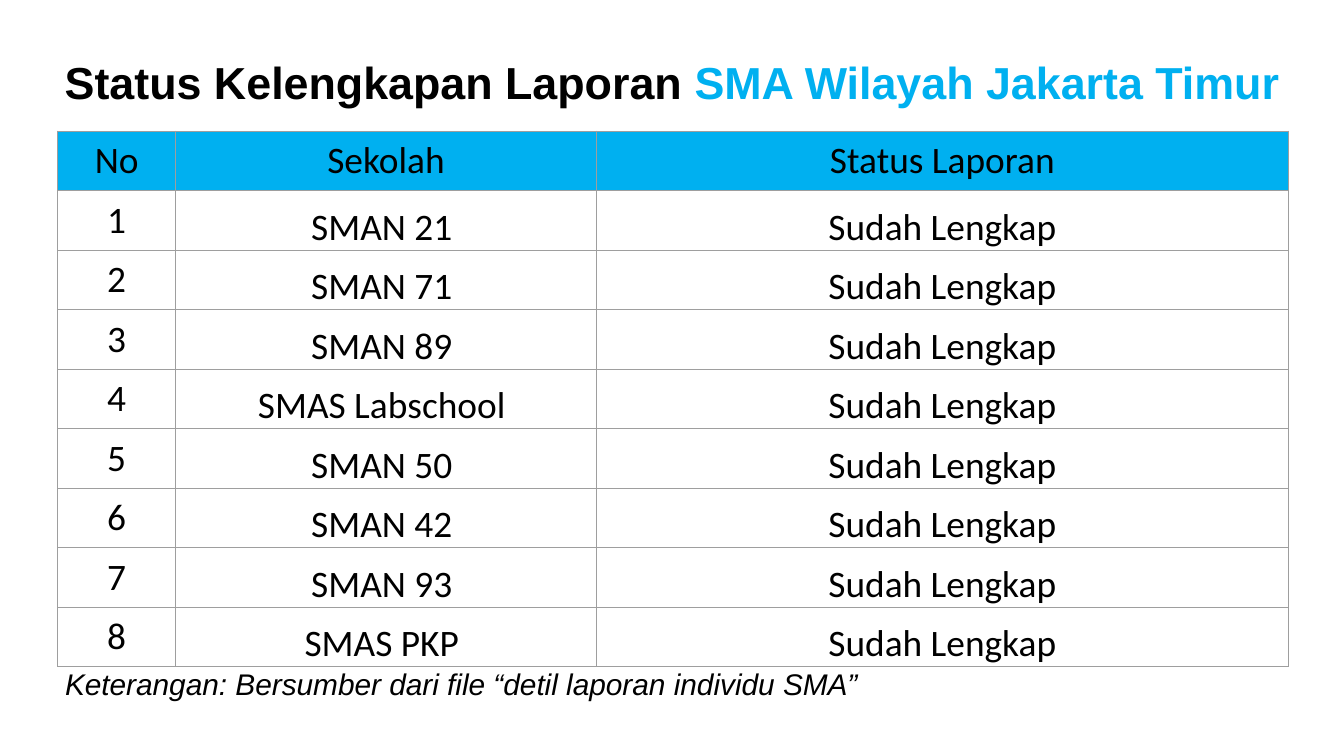
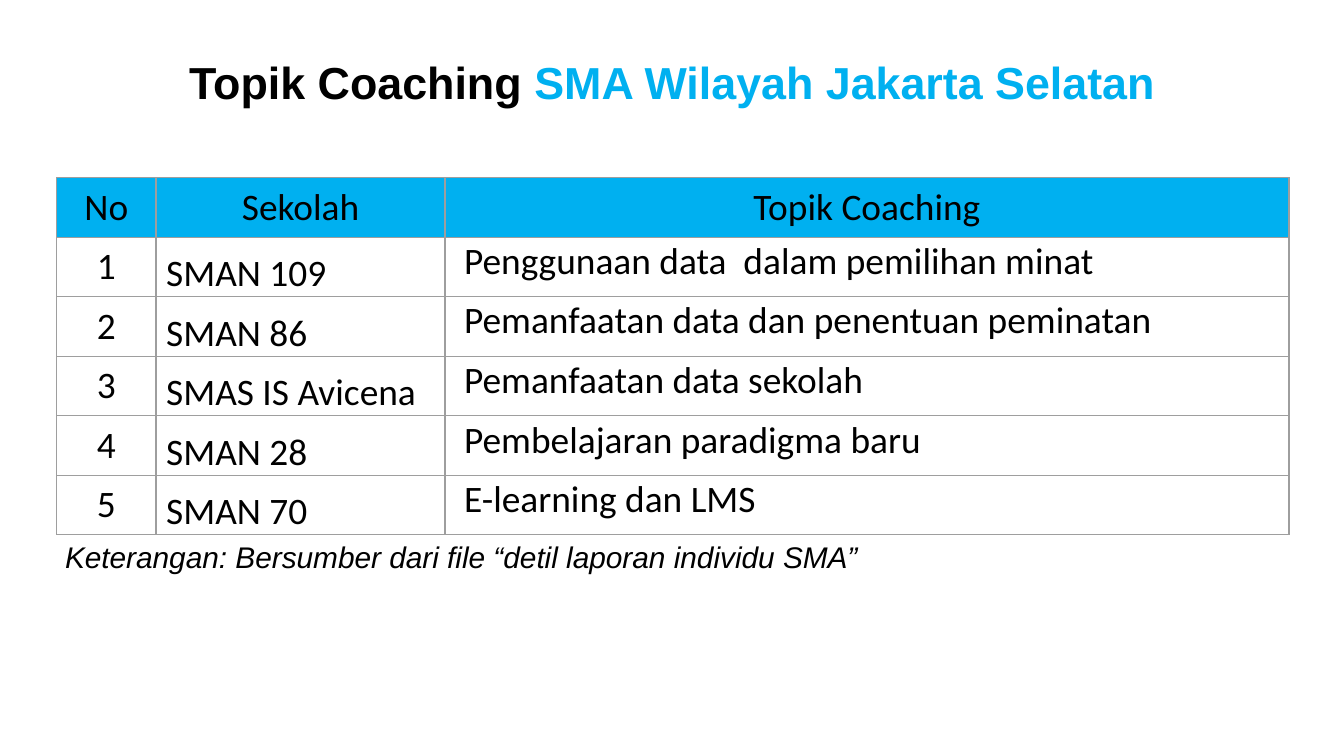
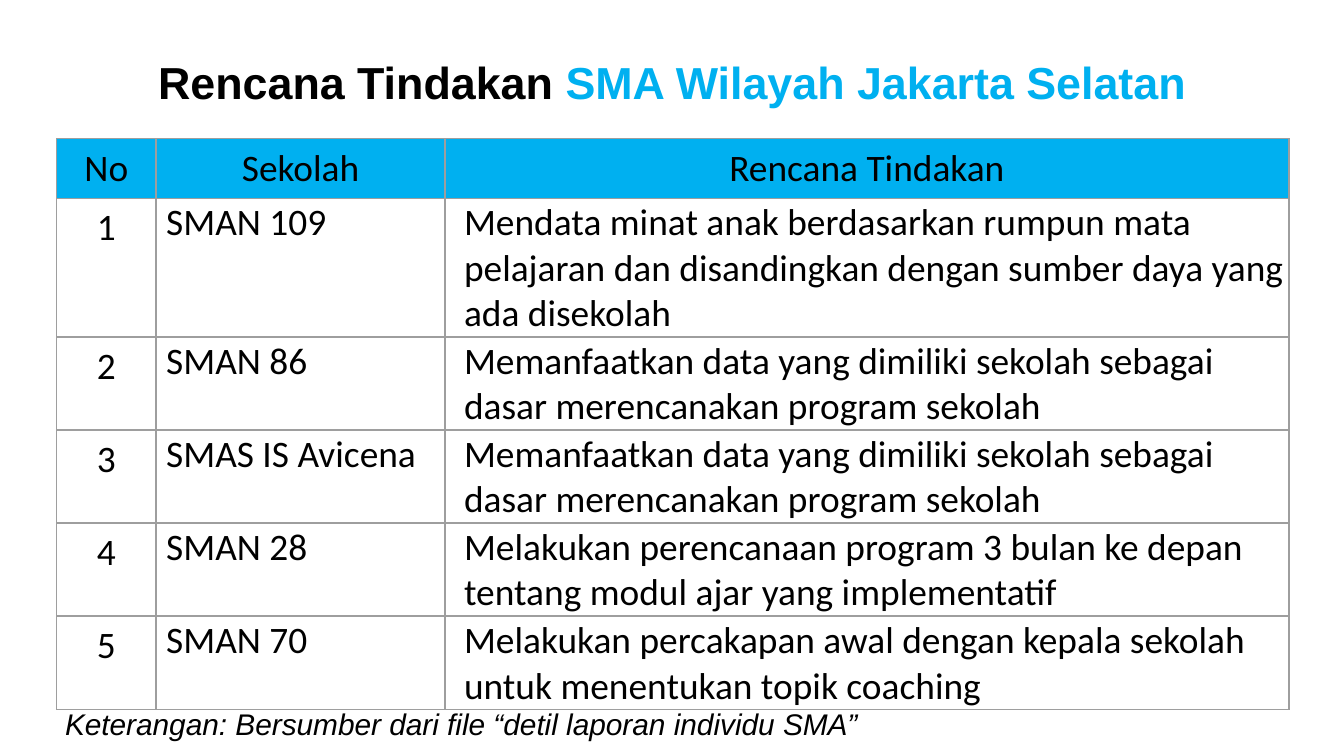
import dataclasses

import pptx
import pptx.dml.color
import pptx.enum.text
import pptx.oxml.ns
import pptx.util
from lxml import etree

Cm = pptx.util.Cm
Align = pptx.enum.text.PP_ALIGN
Anchor = pptx.enum.text.MSO_ANCHOR


def color(hex_string):
    return pptx.dml.color.RGBColor.from_string(hex_string)


@dataclasses.dataclass
class CellStyle:
    """Alignment and insets (cm: left, top, right, bottom) of a column's cells."""
    align: Align = Align.CENTER
    anchor: Anchor = Anchor.TOP
    insets: tuple = (0.25, 0.13, 0.25, 0.13)


class Deck:
    BLACK, ACCENT, BORDER = "000000", "00B0F0", "9E9E9E"
    TITLE_FONT, TABLE_FONT = "Arial", "Calibri"
    WIDTH, HEIGHT = 25.4, 14.29
    HEADER_HEIGHT = 1.12
    NOTE = "Keterangan: Bersumber dari file “detil laporan individu SMA”"

    def __init__(self):
        self.presentation = pptx.Presentation()
        self.presentation.slide_width = Cm(self.WIDTH)
        self.presentation.slide_height = Cm(self.HEIGHT)
        self.slide = None

    def add_run(self, paragraph, text, font, size, hex_color, bold=False, italic=False):
        run = paragraph.add_run()
        run.text = text
        run.font.name = font
        run.font.size = pptx.util.Pt(size)
        run.font.color.rgb = color(hex_color)
        run.font.bold = bold
        run.font.italic = italic

    def frame_paragraph(self, shape, align):
        """Format a text frame and return its first paragraph."""
        frame = shape.text_frame
        frame.word_wrap = True
        frame.auto_size = pptx.enum.text.MSO_AUTO_SIZE.NONE
        frame.vertical_anchor = Anchor.MIDDLE
        frame.margin_left = frame.margin_right = Cm(0.19)
        frame.margin_top = frame.margin_bottom = Cm(0.1)
        paragraph = frame.paragraphs[0]
        paragraph.alignment = align
        paragraph.line_spacing = 0.9
        return paragraph

    def add_slide(self, subject, region):
        layout = self.presentation.slide_layouts[5]
        self.slide = self.presentation.slides.add_slide(layout)
        title = self.slide.shapes.title
        title.left, title.top = Cm(0), Cm(1.02)
        title.width, title.height = Cm(self.WIDTH), Cm(1.17)
        paragraph = self.frame_paragraph(title, Align.CENTER)
        self.add_run(paragraph, subject + " ", self.TITLE_FONT, 24, self.BLACK, bold=True)
        self.add_run(paragraph, region, self.TITLE_FONT, 24, self.ACCENT, bold=True)

    def add_note(self, top):
        box = self.slide.shapes.add_textbox(Cm(1.04), Cm(top), Cm(23.29), Cm(1.12))
        paragraph = self.frame_paragraph(box, Align.LEFT)
        self.add_run(paragraph, self.NOTE, self.TITLE_FONT, 16, self.BLACK, italic=True)

    def add_borders(self, cell):
        properties = cell._tc.get_or_add_tcPr()
        for index, side in enumerate(("lnL", "lnR", "lnT", "lnB")):
            line = etree.Element(pptx.oxml.ns.qn("a:" + side), w="9525")
            fill = etree.SubElement(line, pptx.oxml.ns.qn("a:solidFill"))
            etree.SubElement(fill, pptx.oxml.ns.qn("a:srgbClr"), val=self.BORDER)
            properties.insert(index, line)

    def fill_cell(self, cell, text, style, fill=None):
        cell.margin_left, cell.margin_top, cell.margin_right, cell.margin_bottom = map(
            Cm, style.insets)
        cell.vertical_anchor = style.anchor
        if fill:
            cell.fill.solid()
            cell.fill.fore_color.rgb = color(fill)
        else:
            cell.fill.background()
        self.add_borders(cell)
        paragraph = cell.text_frame.paragraphs[0]
        paragraph.alignment = style.align
        self.add_run(paragraph, text, self.TABLE_FONT, 20, self.BLACK)

    def add_table(self, left, top, widths, heights, header, rows, styles):
        """Add a table whose rows are numbered in the first column."""
        heights = [self.HEADER_HEIGHT, *heights]
        table = self.slide.shapes.add_table(
            len(heights), len(widths), Cm(left), Cm(top),
            Cm(sum(widths)), Cm(sum(heights))).table
        table.first_row = table.horz_banding = False
        for column, width in zip(table.columns, widths):
            column.width = Cm(width)
        for row, height in zip(table.rows, heights):
            row.height = Cm(height)
        for index, text in enumerate(header):
            self.fill_cell(table.cell(0, index), text, CellStyle(), self.ACCENT)
        for number, values in enumerate(rows, 1):
            for index, text in enumerate((str(number), *values)):
                self.fill_cell(table.cell(number, index), text, styles[index])


def main():
    deck = Deck()
    number = CellStyle()
    south = "SMA Wilayah Jakarta Selatan"
    south_schools = ["SMAN 109", "SMAN 86", "SMAS IS Avicena", "SMAN 28", "SMAN 70"]
    south_widths = [1.88, 5.46, 15.95]
    school_insets = (0.19, 0.03, 0.03, 0)
    text_insets = (0.36, 0.03, 0.03, 0)

    # Report status, East Jakarta
    east_schools = ["SMAN 21", "SMAN 71", "SMAN 89", "SMAS Labschool",
                    "SMAN 50", "SMAN 42", "SMAN 93", "SMAS PKP"]
    deck.add_slide("Status Kelengkapan Laporan", "SMA Wilayah Jakarta Timur")
    deck.add_note(12.4)
    deck.add_table(
        1.09, 2.48, [2.23, 7.95, 13.08], [1.12] * len(east_schools),
        ["No", "Sekolah", "Status Laporan"],
        [(school, "Sudah Lengkap") for school in east_schools],
        [number,
         CellStyle(anchor=Anchor.BOTTOM, insets=(0.03, 0.03, 0.19, 0)),
         CellStyle(anchor=Anchor.BOTTOM, insets=(0.03, 0.03, 0.03, 0))])

    # Coaching topics, South Jakarta
    topics = ["Penggunaan data  dalam pemilihan minat",
              "Pemanfaatan data dan penentuan peminatan",
              "Pemanfaatan data sekolah",
              "Pembelajaran paradigma baru",
              "E-learning dan LMS"]
    deck.add_slide("Topik Coaching", south)
    deck.add_note(10.01)
    deck.add_table(
        1.07, 3.36, south_widths, [1.12] * len(topics),
        ["No", "Sekolah", "Topik Coaching"], list(zip(south_schools, topics)),
        [number,
         CellStyle(Align.LEFT, Anchor.BOTTOM, school_insets),
         CellStyle(Align.LEFT, Anchor.TOP, text_insets)])

    # Action plans, South Jakarta
    use_data = ("Memanfaatkan data yang dimiliki sekolah sebagai "
                "dasar merencanakan program sekolah")
    plans = ["Mendata minat anak berdasarkan rumpun mata pelajaran dan "
             "disandingkan dengan sumber daya yang ada disekolah",
             use_data,
             use_data,
             "Melakukan perencanaan program 3 bulan ke depan "
             "tentang modul ajar yang implementatif",
             "Melakukan percakapan awal dengan kepala sekolah "
             "untuk menentukan topik coaching"]
    deck.add_slide("Rencana Tindakan", south)
    deck.add_note(13.16)
    deck.add_table(
        1.07, 2.62, south_widths, [2.62] + [1.75] * 4,
        ["No", "Sekolah", "Rencana Tindakan"], list(zip(south_schools, plans)),
        [number,
         CellStyle(Align.LEFT, Anchor.TOP, school_insets),
         CellStyle(Align.LEFT, Anchor.BOTTOM, text_insets)])

    deck.presentation.save("out.pptx")


if __name__ == "__main__":
    main()
